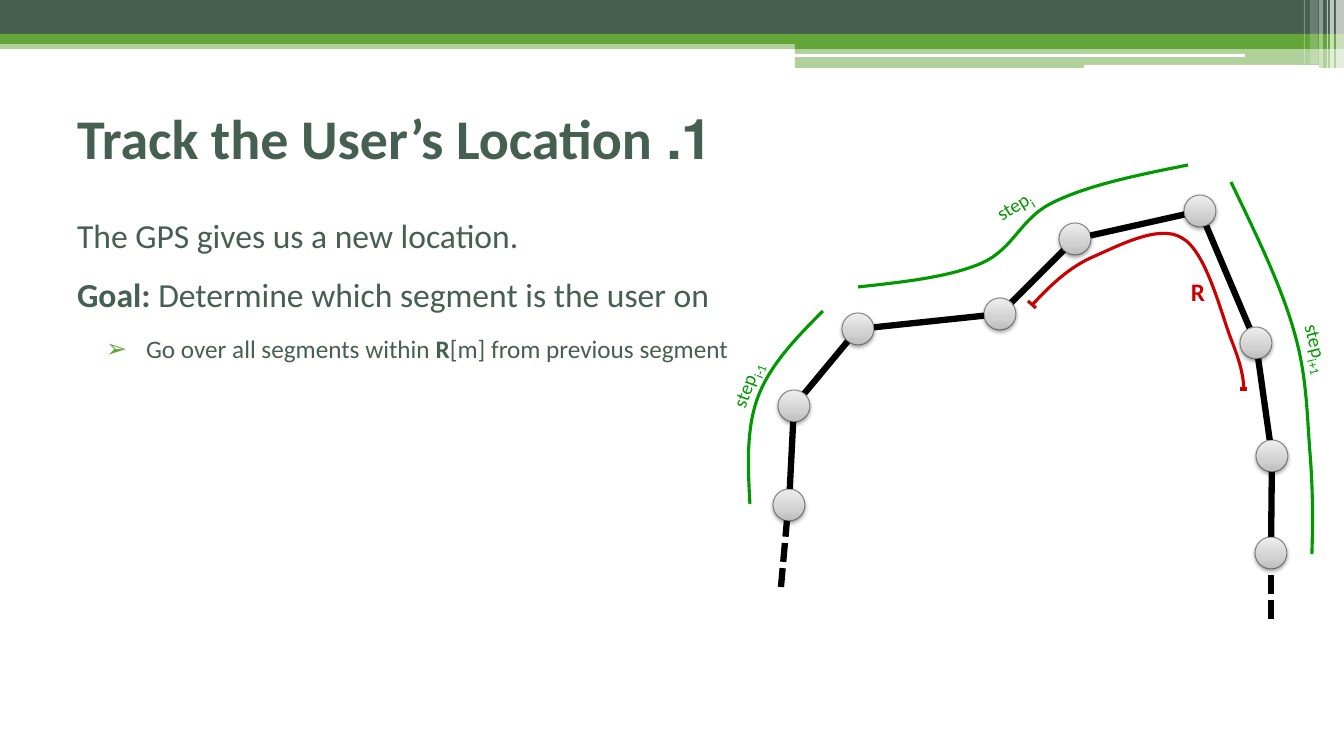
import copy
import itertools

import pptx
import pptx.util
import pptx.dml.color
import pptx.enum.dml
import pptx.enum.shapes
import pptx.enum.text
import pptx.oxml.ns
from lxml import etree

SCALE = 914400 / 100.8
FONT = "Calibri"
COLORS = {
    "dark": "455F51", "green": "63A537", "white": "FFFFFF", "black": "000000",
    "step": "009900", "range": "CC0000",
    "low": "BDBDBD", "mid": "D1D1D1", "high": "EEEEEE",
}
SHAPE = pptx.enum.shapes.MSO_SHAPE
qn = pptx.oxml.ns.qn

# left, top, width, height, colour, opacity in percent
BANDS = [
    (0, 40, 1344, 9, "green", 50),
    (0, 0, 1344, 34, "dark", 100),
    (0, 34, 1344, 10, "green", 100),
    (795, 39, 549, 10, "green", 100),
    (795, 48, 549, 20, "green", 50),
]
SLITS = [(794, 54, 451, 3, "white", 100), (1084, 65, 235, 4, "white", 100)]
STRIPES = [
    (1336, 0, 8, 68, "white", 65),
    (1330, 0, 4, 68, "white", 65),
    (1327, 0, 1, 68, "white", 60),
    (1319, 0, 4, 68, "white", 40),
    (1310, 0, 8, 64, "white", 20),
    (1304, 0, 1, 64, "white", 30),
]
NODES = [(789, 505), (794, 406), (858, 329), (1000, 314), (1075, 239),
         (1200, 211), (1256, 343), (1272, 456), (1271, 553)]
SIZE = 32
TAILS = [((781, 587), (788, 509)), ((1271, 619), (1271, 546))]
TICKS = [((1028, 301), (1036, 308)), ((1240, 389), (1247, 389))]
# start point, then two control points and an end point for each arc
CURVES = [
    ("step", [(750, 504), (748, 467), (746, 429), (758, 397),
              (770, 365), (796, 338), (823, 311)]),
    ("step", [(858, 287), (904, 282), (950, 277), (982, 263),
              (1015, 248), (1020, 218), (1054, 202),
              (1089, 185), (1138, 175), (1188, 165)]),
    ("step", [(1231, 182), (1256, 234), (1281, 285), (1294, 331),
              (1307, 375), (1307, 414), (1310, 452),
              (1313, 489), (1313, 521), (1312, 554)]),
    ("range", [(1033, 304), (1051, 285), (1069, 267), (1095, 256),
               (1120, 245), (1160, 224), (1182, 238),
               (1206, 251), (1221, 313), (1231, 339),
               (1241, 364), (1243, 376), (1244, 388)]),
]
LABELS = [("i-1", (709, 365, 71, 34), 290.3), ("i", (984, 186, 58, 34), 328.4),
          ("i+1", (1284, 333, 74, 34), 75.9)]


def px(*values):
    return [round(v * SCALE) for v in values]


def rgb(name):
    return pptx.dml.color.RGBColor.from_string(COLORS[name])


def child(parent, tag, **attrs):
    node = etree.SubElement(parent, qn(tag))
    for key, value in attrs.items():
        node.set(key, str(value))
    return node


def fade(part, percent):
    """Set the opacity of the first colour inside an XML part."""
    child(part.find(".//" + qn("a:srgbClr")), "a:alpha", val=percent * 1000)


def style(font, size, color, bold=None):
    font.name, font.size, font.bold = FONT, pptx.util.Pt(size), bold
    font.color.rgb = rgb(color)


def bar(slide, kind, left, top, width, height, color, percent):
    shape = slide.shapes.add_shape(kind, *px(left, top, width, height))
    shape.shadow.inherit = False
    shape.fill.solid()
    shape.fill.fore_color.rgb = rgb(color)
    shape.line.fill.background()
    if percent < 100:
        fade(shape._element.spPr, percent)


def link(slide, start, end, color="black", width=4.5, dash=False):
    line = slide.shapes.add_connector(
        pptx.enum.shapes.MSO_CONNECTOR.STRAIGHT, *px(*start, *end))
    line.line.color.rgb = rgb(color)
    line.line.width = pptx.util.Pt(width)
    if dash:
        line.line.dash_style = pptx.enum.dml.MSO_LINE.SQUARE_DOT
        line.line._ln.find(qn("a:prstDash")).set("val", "sysDash")
    child(line._element.spPr, "a:effectLst")


def node(slide, x, y):
    dot = slide.shapes.add_shape(
        SHAPE.OVAL, *px(x - SIZE // 2, y - SIZE // 2, SIZE, SIZE))
    dot.fill.gradient()
    dot.fill.gradient_angle = 90
    first, last = dot.fill.gradient_stops
    for stop, name, place in ((first, "low", 0), (last, "high", 1)):
        stop.color.rgb, stop.position = rgb(name), place
    mid = copy.deepcopy(first._gs)
    mid.set("pos", "35000")
    mid.find(qn("a:srgbClr")).set("val", COLORS["mid"])
    first._gs.addnext(mid)
    dot.line.color.rgb = rgb("black")
    dot.line.width = pptx.util.Pt(0.75)
    fade(dot.line._ln, 40)
    dot.shadow.inherit = False
    glow = child(dot._element.spPr.find(qn("a:effectLst")), "a:outerShdw",
                 blurRad=pptx.util.Pt(3.1), dist=pptx.util.Pt(1.6),
                 dir=90 * 60000, rotWithShape=0)
    child(glow, "a:srgbClr", val=COLORS["black"])
    fade(glow, 38)


def curve(slide, color, points):
    """Draw an outline and turn each three of its corners into an arc."""
    pen = slide.shapes.build_freeform(*points[0], scale=SCALE)
    pen.add_line_segments(points[1:], close=False)
    shape = pen.convert_to_shape()
    route = shape._element.find(".//" + qn("a:path"))
    sides = route.findall(qn("a:lnTo"))
    for i in range(0, len(sides), 3):
        arc = child(route, "a:cubicBezTo")
        for side in sides[i:i + 3]:
            arc.append(side[0])
            route.remove(side)
    shape.fill.background()
    shape.line.color.rgb = rgb(color)
    shape.line.width = pptx.util.Pt(2.25)
    shape.shadow.inherit = False


def label(slide, box, text, size, color, sub="", turn=0, bold=None):
    area = slide.shapes.add_textbox(*px(*box))
    area.rotation = turn
    frame = area.text_frame
    frame.word_wrap = False
    frame.auto_size = pptx.enum.text.MSO_AUTO_SIZE.SHAPE_TO_FIT_TEXT
    para = frame.paragraphs[0]
    para.add_run().text = text
    style(para.font, size, color, bold)
    if sub:
        run = para.add_run()
        run.text = sub
        run.font.size = pptx.util.Pt(16)
        run._r.get_or_add_rPr().set("baseline", "-25000")


def place(holder, *box):
    holder.left, holder.top, holder.width, holder.height = px(*box)
    holder.text_frame.auto_size = pptx.enum.text.MSO_AUTO_SIZE.NONE
    return holder.text_frame


def heading(slide):
    frame = place(slide.shapes.title, 67, 78, 1210, 118)
    frame.vertical_anchor = pptx.enum.text.MSO_ANCHOR.MIDDLE
    para = frame.paragraphs[0]
    para.text = "1. Track the User’s Location"
    para.alignment = pptx.enum.text.PP_ALIGN.LEFT
    para._p.get_or_add_pPr().set("rtl", "1")
    style(para.font, 40, "dark", True)


def item(para, parts, size, spacing, before, margin=0, indent=0, bullet=""):
    """Fill a paragraph; each part is a text and whether it is bold."""
    props = para._p.get_or_add_pPr()
    for key, value in zip(("marL", "indent"), px(margin, indent)):
        props.set(key, str(value))
    if bullet:
        child(child(props, "a:buClr"), "a:srgbClr", val=COLORS["green"])
        child(props, "a:buChar", char=bullet)
    else:
        child(props, "a:buNone")
    para.line_spacing = spacing
    para.space_before = pptx.util.Pt(before)
    for text, bold in parts:
        run = para.add_run()
        run.text, run.font.bold = text, bold
    style(para.font, size, "dark")


def body(slide):
    frame = place(slide.placeholders[1], 67, 196, 1249, 539)
    item(frame.paragraphs[0], [("The GPS gives us a new location.", False)], 24, 1.35, 0)
    item(frame.add_paragraph(), [
        ("Goal: ", True), ("Determine which segment is the user on", False)], 24, 1.35, 3)
    para = frame.add_paragraph()
    para.level = 1
    item(para, [("Go over all segments within ", False), ("R", True),
                ("[m] from previous segment", False)], 18, 1.5, 3, 69, -40, "➢")


def main():
    deck = pptx.Presentation()
    deck.slide_width, deck.slide_height = px(1344, 756)
    slide = deck.slides.add_slide(deck.slide_layouts[1])
    for kind, bars in ((SHAPE.RECTANGLE, BANDS), (SHAPE.ROUNDED_RECTANGLE, SLITS),
                       (SHAPE.RECTANGLE, STRIPES)):
        for spec in bars:
            bar(slide, kind, *spec)
    heading(slide)
    body(slide)
    for start, end in itertools.pairwise(NODES):
        link(slide, start, end)
    for start, end in TAILS:
        link(slide, start, end, dash=True)
    for x, y in NODES:
        node(slide, x, y)
    for color, points in CURVES:
        curve(slide, color, points)
    for start, end in TICKS:
        link(slide, start, end, "range", 2.25)
    for sub, box, turn in LABELS:
        label(slide, box, "step", 14, "step", sub, turn)
    label(slide, (1181, 271, 34, 40), "R", 18, "range", bold=True)
    deck.save("out.pptx")


if __name__ == "__main__":
    main()
